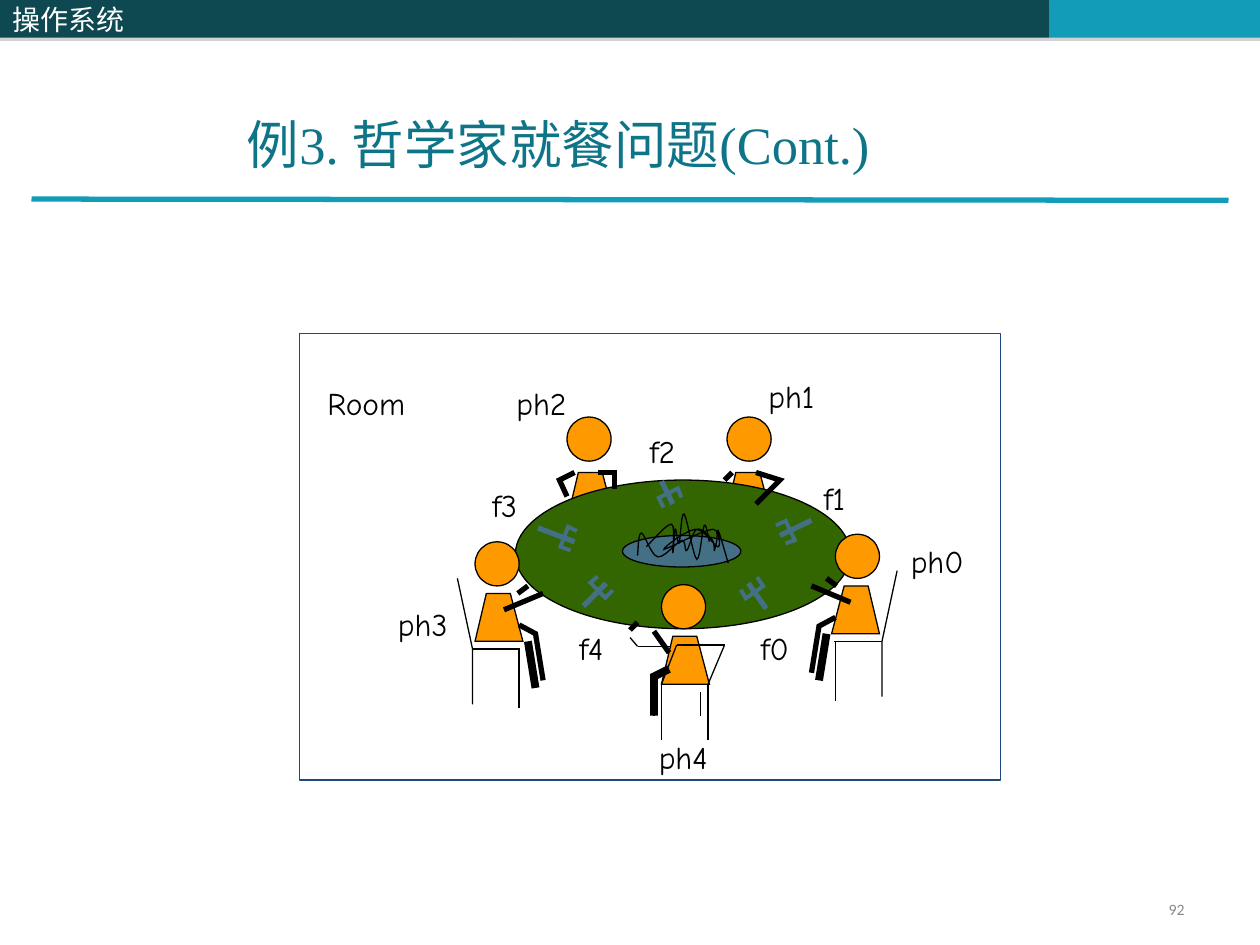
from itertools import pairwise
from math import atan2, cos, degrees, sin

from lxml import etree
from pptx import Presentation
from pptx.dml.color import RGBColor
from pptx.enum.shapes import MSO_CONNECTOR, MSO_SHAPE
from pptx.enum.text import MSO_ANCHOR, PP_ALIGN
from pptx.oxml.ns import qn
from pptx.util import Pt

RECT, OVAL, STRAIGHT = MSO_SHAPE.RECTANGLE, MSO_SHAPE.OVAL, MSO_CONNECTOR.STRAIGHT
TOP, MIDDLE, BOTTOM = MSO_ANCHOR.TOP, MSO_ANCHOR.MIDDLE, MSO_ANCHOR.BOTTOM
LEFT, RIGHT = PP_ALIGN.LEFT, PP_ALIGN.RIGHT

GRID = 0.72
HEAD = 35
THIN, LIMB, LEG = 0.75, 3, 4.5
CJK_FONT = "Noto Sans CJK SC"
COLORS = {
    "dark": "0E4851", "teal": "139CB7", "title": "0E7589", "white": "FFFFFF",
    "grey": "898989", "shadow": "808080", "frame": "1F497D", "orange": "FF9900",
    "table": "336600", "steel": "437085", "black": "000000",
}
BANNER = [(408, 425, "dark"), (833, 167, "teal"), (0, 408, "dark")]
LABELS = [
    ("Room", 250, 300), ("ph0", 713, 425), ("ph1", 600, 294), ("ph2", 400, 300),
    ("ph3", 306, 475), ("ph4", 513, 581), ("f0", 594, 494), ("f1", 644, 375),
    ("f2", 506, 338), ("f3", 381, 381), ("f4", 450, 494),
]
TORSO = [(0, 38), (9, 0), (28, 0), (38, 38), (0, 38)]
CHAIR = [
    [(363, 459), (375, 515), (375, 559)],
    [(412, 515), (412, 562)],
    [(375, 515), (413, 515)],
]
SEATED_LEG = [(419, 509), (425, 546)]
SEATED_LIMBS = [
    [(412, 496), (425, 503), (431, 540)],
    [(400, 484), (431, 471)],
    [(411, 471), (419, 465)],
]
PLACE_MAT = [(544, 513), (506, 513), (500, 506)]
FRONT_CHAIR = [(525, 587), (525, 543), (537, 512), (575, 512), (562, 543), (562, 587)]
FRONT_CREASES = [[(519, 543), (519, 568)], [(556, 549), (556, 568)]]
FRONT_HAND = [(506, 494), (500, 500)]
FRONT_ARM = [(519, 501), (531, 518)]
FRONT_LEG = [(531, 531), (519, 537), (519, 568)]
BACK_ARMS = [
    [(600, 375), (619, 381), (600, 400)],
    [(581, 375), (575, 381)],
    [(456, 375), (444, 381), (450, 394)],
    [(475, 375), (488, 375), (488, 388)],
]
NOODLES = [
    [(513, 434), (533, 416), (534, 439), (536, 420), (539, 431), (543, 408),
     (553, 444), (559, 417), (563, 430)],
    [(506, 441), (509, 423), (522, 442), (541, 429), (545, 437), (553, 420),
     (565, 428), (567, 437), (566, 420), (527, 436), (552, 420), (570, 434),
     (570, 421), (578, 447)],
]
PRONGS = [(-3, -9), (-9, -4), (3, 8), (9, 2)]
HANDLES = [
    [(481, 463), (463, 481)],
    [(594, 463), (608, 483)],
    [(619, 425), (644, 413)],
    [(534, 400), (525, 382)],
    [(456, 430), (427, 419)],
]

deck = Presentation()
deck.slide_width, deck.slide_height = Pt(720), Pt(540)
slide = deck.slides.add_slide(deck.slide_layouts[5])
shapes = slide.shapes


def grid(*values):
    return [Pt(value * GRID) for value in values]


def rgb(name):
    return RGBColor.from_string(COLORS[name])


def shift(points, left, top):
    return [(x + left, y + top) for x, y in points]


def mirror(points):
    return [(1075 - x, y - 6) for x, y in points]


def write(box, text, size=18, font="Comic Neue", color="black", align=LEFT, anchor=TOP):
    frame = box.text_frame
    frame.word_wrap, frame.vertical_anchor = True, anchor
    para = frame.paragraphs[0]
    para.alignment = align
    span = para.add_run()
    span.text = text
    span.font.size, span.font.name = Pt(size), font
    span.font.color.rgb = rgb(color)
    etree.SubElement(span.font._element, qn("a:ea"), typeface=CJK_FONT)


def paint(shape, fill=None, line=None, width=THIN):
    shape.shadow.inherit = False
    if fill:
        shape.fill.solid()
        shape.fill.fore_color.rgb = rgb(fill)
    else:
        shape.fill.background()
    if line:
        shape.line.color.rgb, shape.line.width = rgb(line), Pt(width)
    else:
        shape.line.fill.background()
    return shape


def preset(kind, left, top, width, height, **style):
    return paint(shapes.add_shape(kind, *grid(left, top, width, height)), **style)


def stroke(points, width=THIN, color="black", fill=None):
    if len(points) == 2:
        line = shapes.add_connector(STRAIGHT, *grid(*points[0], *points[1]))
        line.line.color.rgb, line.line.width = rgb(color), Pt(width)
        etree.SubElement(line._element.spPr, qn("a:effectLst"))
        return line
    places = [grid(*point) for point in points]
    builder = shapes.build_freeform(*places[0])
    builder.add_line_segments(places[1:], close=points[0] == points[-1])
    shape = paint(builder.convert_to_shape(), fill, color, width)
    etree.SubElement(shape._element.spPr.find(qn("a:ln")), qn("a:miter"), lim="800000")
    return shape


def strokes(parts, width=THIN):
    for points in parts:
        stroke(points, width)


def head(left, top):
    preset(OVAL, left, top, HEAD, HEAD, fill="orange", line="black")


def torso(points):
    stroke(points, fill="orange")


def smooth(points, steps=6):
    padded = [points[0], *points, points[-1]]
    result = [points[0]]
    for a, b, c, d in zip(padded, padded[1:], padded[2:], padded[3:]):
        for t in (step / steps for step in range(1, steps + 1)):
            result.append(tuple(
                q + t / 2 * (r - p + t * (2 * p - 5 * q + 4 * r - s + t * (3 * (q - r) + s - p)))
                for p, q, r, s in zip(a, b, c, d)))
    return result


def seated(place):
    strokes(map(place, CHAIR))
    torso(place(shift(TORSO, 377, 471)))
    corners = place([(377, 430), (377 + HEAD, 430)])
    head(*min(corners))
    stroke(place(SEATED_LEG), LEG)
    strokes(map(place, SEATED_LIMBS), LIMB)


def fork(handle):
    stroke(handle, LIMB, "steel")
    (x, y), (far_x, far_y) = handle
    angle = atan2(far_y - y, far_x - x)
    prongs = shift(PRONGS, x + 5 * cos(angle), y + 5 * sin(angle))
    stroke(prongs, 2.25, "steel").rotation = degrees(angle) - 135


def main():
    """Build the dining philosophers slide."""
    for left, width, fill in BANNER:
        bar = preset(RECT, left, 0, width, 30, fill=fill)
        effects = bar._element.spPr.find(qn("a:effectLst"))
        shadow = etree.SubElement(effects, qn("a:outerShdw"), dist=str(Pt(1.8)), dir="5400000")
        tone = etree.SubElement(shadow, qn("a:srgbClr"), val=COLORS["shadow"])
        etree.SubElement(tone, qn("a:alpha"), val="35000")
    write(bar, "操作系统", size=16, font=CJK_FONT, color="white", anchor=MIDDLE)
    stroke([(25, 158), (975, 159)], 3, "teal")
    title = shapes.title
    title.left, title.top, title.width, title.height = grid(186, 50, 639, 94)
    write(title, "例3. 哲学家就餐问题(Cont.)", size=30, font="Times New Roman",
          color="title", anchor=BOTTOM)
    write(shapes.add_textbox(*grid(717, 708, 233, 27)), "92", size=9, font="Calibri",
          color="grey", align=RIGHT, anchor=MIDDLE)

    preset(RECT, 238, 265, 556, 354, line="frame")
    for left in (450, 575):
        torso(shift(TORSO, left, 375))
    preset(OVAL, 409, 381, 266, 118, fill="table", line="black")
    seated(list)
    seated(mirror)
    strokes(pairwise(PLACE_MAT))
    stroke(FRONT_HAND, LIMB)
    torso(shift(TORSO, 525, 505))
    strokes(pairwise(FRONT_CHAIR))
    head(525, 464)
    strokes(FRONT_CREASES)
    stroke(FRONT_ARM, LIMB)
    stroke(FRONT_LEG, LEG)
    for left in (577, 450):
        head(left, 331)
    strokes(BACK_ARMS, LIMB)
    preset(OVAL, 494, 425, 94, 25, fill="steel", line="black")
    strokes(map(smooth, NOODLES))
    for handle in HANDLES:
        fork(handle)
    for text, left, top in LABELS:
        write(shapes.add_textbox(*grid(left, top, 12 + 19 * len(text), 40)), text)
    deck.save("out.pptx")


if __name__ == "__main__":
    main()
